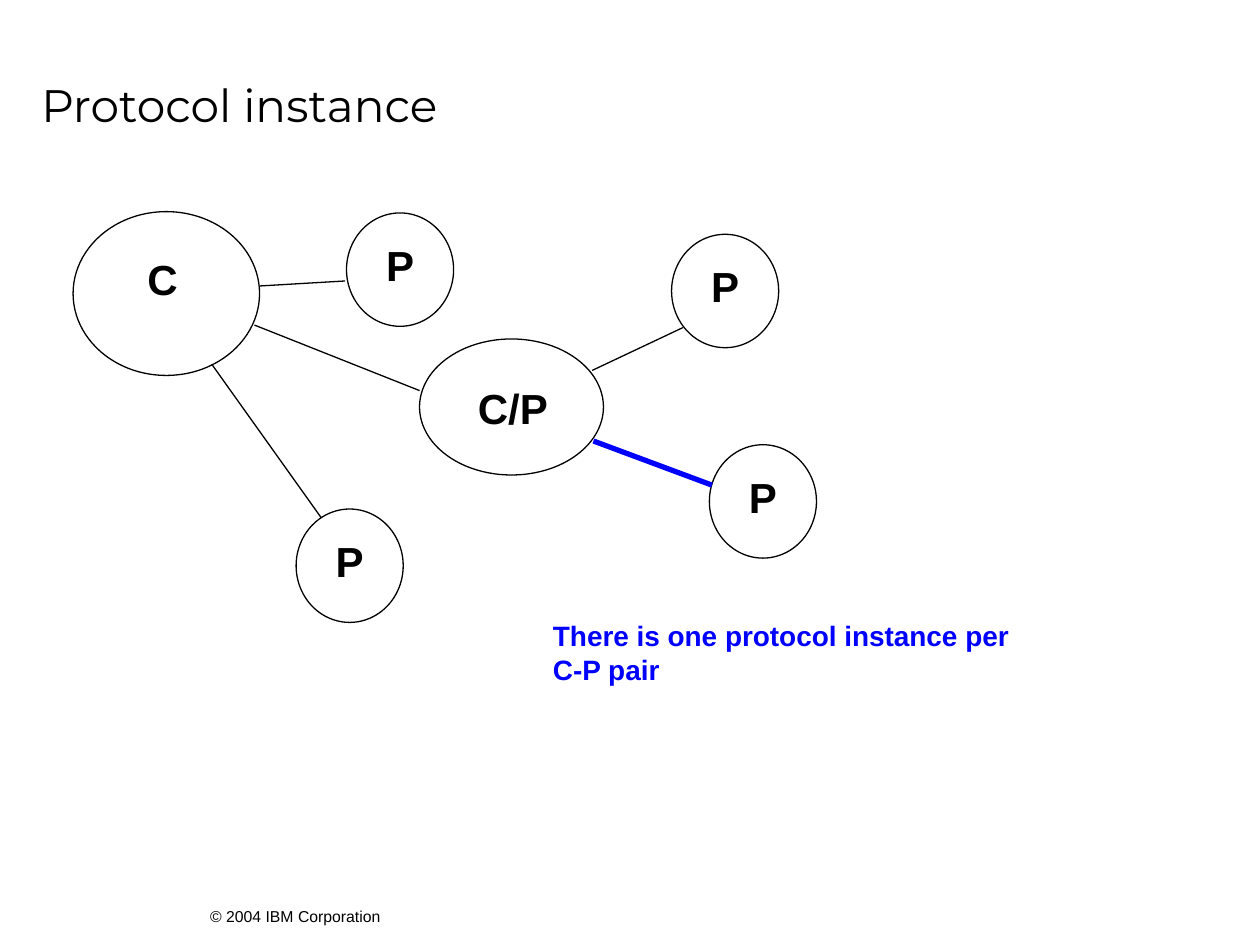
from dataclasses import dataclass

from pptx import Presentation
from pptx.dml.color import RGBColor
from pptx.enum.shapes import MSO_CONNECTOR as Connector, MSO_SHAPE as Shape
from pptx.enum.text import (MSO_ANCHOR as Anchor, MSO_AUTO_SIZE as AutoSize,
                            PP_ALIGN as Align)
from pptx.oxml.ns import qn
from pptx.util import Inches, Pt
from lxml import etree


@dataclass(frozen=True)
class Theme:
    black: RGBColor = RGBColor(0x00, 0x00, 0x00)
    blue: RGBColor = RGBColor(0x00, 0x00, 0xFF)
    title_font: str = "Montserrat"
    body_font: str = "Arial"
    title_size: float = 26
    label_size: float = 24
    note_size: float = 16
    footer_size: float = 9
    thin: float = 0.75
    thick: float = 3


THEME = Theme()

# The slide is a grid of 100 columns and 75 rows of square cells
COLUMNS, ROWS = 100, 75
CELL = Inches(0.1)

# Circles: left, top, width, height
CONSUMER = (5.8, 16.8, 14.8, 13)
RELAY = (33.3, 26.9, 14.6, 10.8)
PRODUCER_SIZE = (8.5, 9)
PRODUCERS = [(27.5, 16.9), (23.5, 40.4), (53.3, 18.6), (56.3, 35.3)]
PRODUCER_LABEL = (2.15, 1.6, 4.2, 5)  # offset inside the circle, then size

# Links: start column and row, end column and row
LINKS = [
    (20.6, 22.7, 27.4, 22.3),
    (20.2, 25.8, 33.3, 31),
    (16.8, 28.9, 25.5, 41.1),
    (47, 29.4, 54.2, 26),
]
INSTANCE_LINK = (47.1, 35, 56.5, 38.5)


def cells(*counts):
    return [round(count * CELL) for count in counts]


def add_text(slide, box, text, size, color=THEME.black, font=THEME.body_font,
             bold=False, align=Align.LEFT, anchor=Anchor.TOP, wrap=True):
    frame = slide.shapes.add_textbox(*cells(*box)).text_frame
    frame.word_wrap = wrap
    frame.auto_size = AutoSize.NONE if wrap else AutoSize.SHAPE_TO_FIT_TEXT
    frame.vertical_anchor = anchor
    paragraph = frame.paragraphs[0]
    paragraph.alignment = align
    run = paragraph.add_run()
    run.text = text
    run.font.name = font
    run.font.size = Pt(size)
    run.font.bold = bold
    run.font.color.rgb = color


def add_circle(slide, box, label, label_box):
    circle = slide.shapes.add_shape(Shape.OVAL, *cells(*box))
    circle.shadow.inherit = False
    circle.fill.background()
    circle.line.color.rgb = THEME.black
    circle.line.width = Pt(THEME.thin)
    add_text(slide, label_box, label, THEME.label_size, bold=True,
             align=Align.CENTER, wrap=False)


def add_link(slide, ends, color=THEME.black, width=THEME.thin):
    link = slide.shapes.add_connector(Connector.STRAIGHT, *cells(*ends))
    link.line.color.rgb = color
    link.line.width = Pt(width)
    etree.SubElement(link._element.spPr, qn("a:effectLst"))


def main():
    presentation = Presentation()
    presentation.slide_width, presentation.slide_height = cells(COLUMNS, ROWS)
    slide = presentation.slides.add_slide(presentation.slide_layouts[6])

    # Footer, title and note
    add_text(slide, (15.7, 71.5, 16.9, 2.5), "© 2004 IBM Corporation",
             THEME.footer_size, anchor=Anchor.MIDDLE)
    add_text(slide, (2.3, 5.4, 95.7, 5.8), "Protocol instance",
             THEME.title_size, font=THEME.title_font, anchor=Anchor.MIDDLE)
    add_text(slide, (42.9, 48.6, 40.9, 6.4),
             "There is one protocol instance per C-P pair",
             THEME.note_size, color=THEME.blue, bold=True)

    # Circles with their labels
    add_circle(slide, CONSUMER, "C", (10.7, 19.6, 4.4, 5))
    add_circle(slide, RELAY, "C/P", (36.8, 29.9, 7.8, 5))
    shift_x, shift_y, *label_size = PRODUCER_LABEL
    for left, top in PRODUCERS:
        add_circle(slide, (left, top, *PRODUCER_SIZE), "P",
                   (left + shift_x, top + shift_y, *label_size))

    # Links, the highlighted pair last
    for ends in LINKS:
        add_link(slide, ends)
    add_link(slide, INSTANCE_LINK, THEME.blue, THEME.thick)

    presentation.save("out.pptx")


if __name__ == "__main__":
    main()
